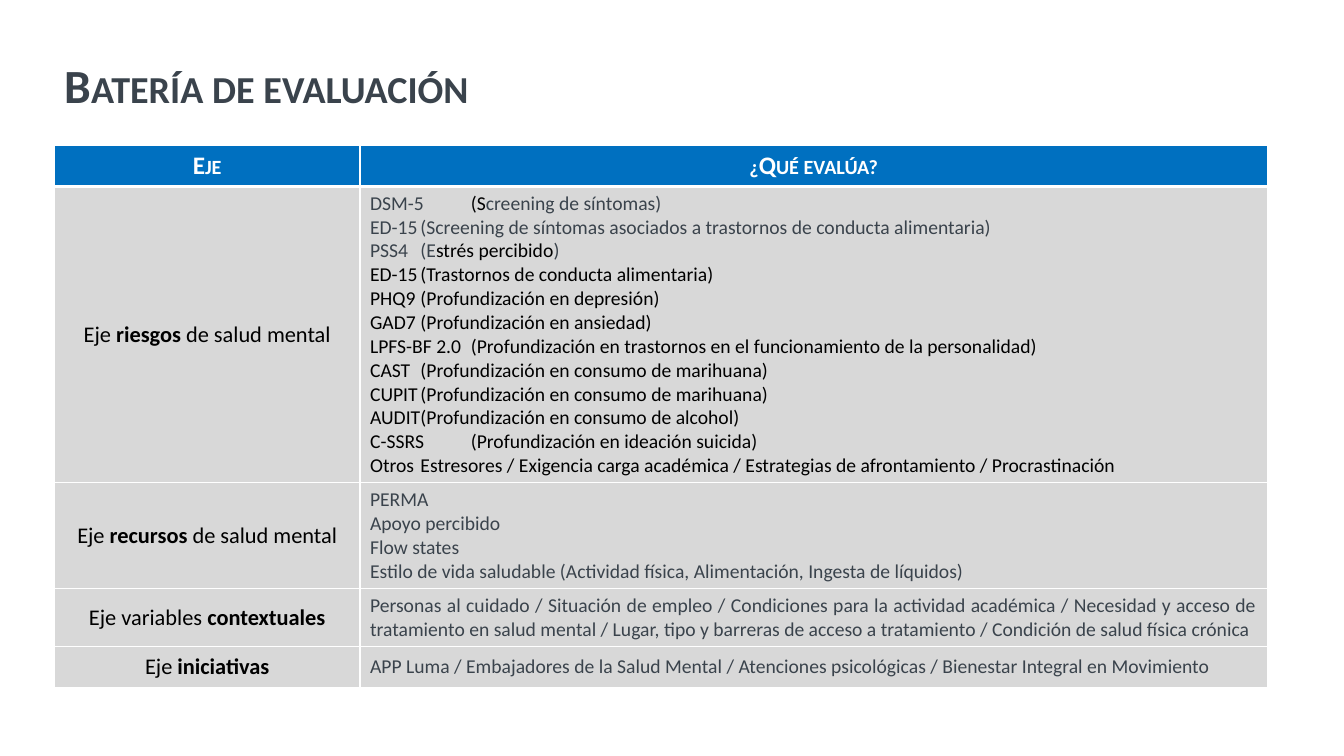
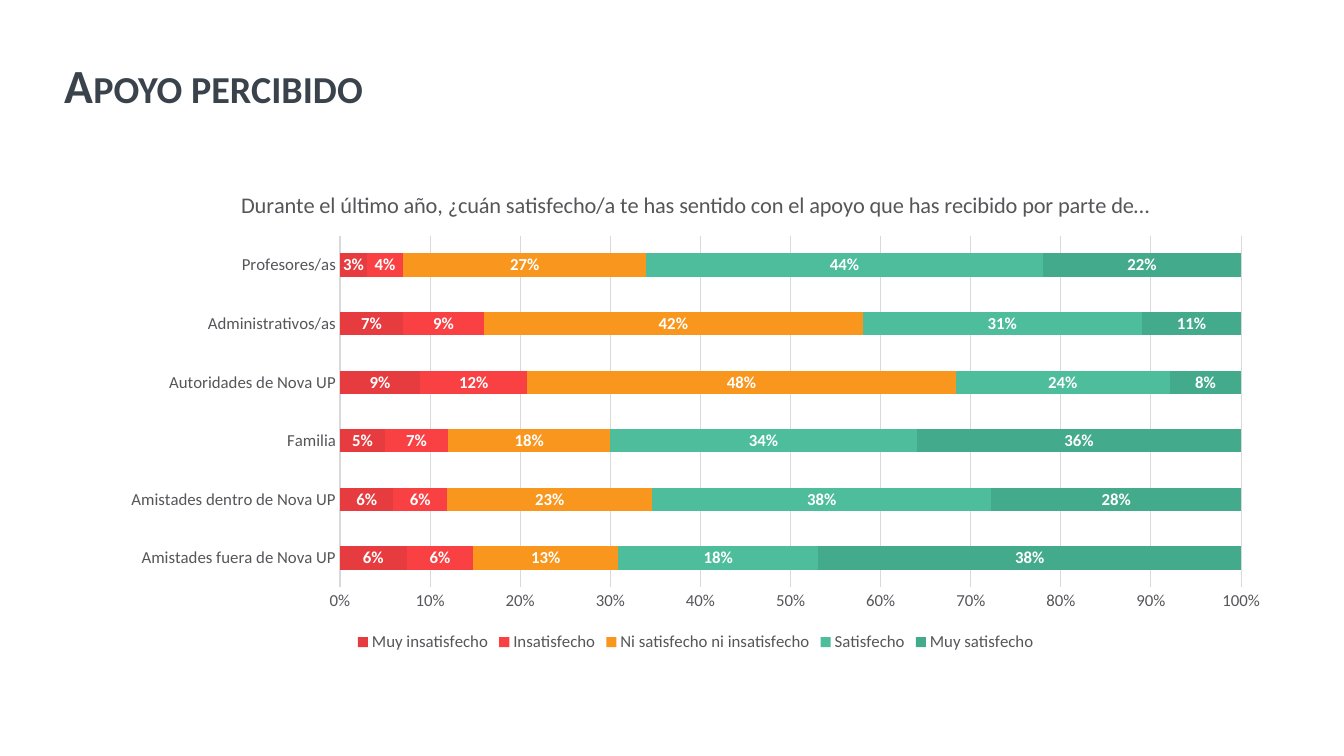
from lxml import etree
from pptx import Presentation
from pptx import util as u
from pptx.chart.data import CategoryChartData
from pptx.dml.color import RGBColor
from pptx.enum import chart as ch, text as tx
from pptx.oxml.ns import qn

FONT = "Calibri"
INK, BLACK, WHITE = "3A434C", "000000", "FFFFFF"
BLUE, GREY, TEXT, RULE = "0070C0", "D8D8D8", "56565A", "D9D9D9"
CENTER, JUSTIFY = tx.PP_ALIGN.CENTER, tx.PP_ALIGN.JUSTIFY

HEADS = ("Eje", "¿Qué evalúa?")
# Each "|" switches between the two styles of a cell; height is in inches.
ROWS = [
    (2.93, "Eje |riesgos| de salud mental", """DSM-5\t|(S|creening de síntomas)
ED-15\t(Screening de síntomas asociados a trastornos de conducta alimentaria)
PSS4\t(E|strés percibido|)
|ED-15\t(Trastornos de conducta alimentaria)
|PHQ9\t(Profundización en depresión)
|GAD7\t(Profundización en ansiedad)
|LPFS-BF 2.0\t(Profundización en trastornos en el funcionamiento de la personalidad)
|CAST\t(Profundización en consumo de marihuana)
|CUPIT\t(Profundización en consumo de marihuana)
|AUDIT\t(Profundización en consumo de alcohol)
|C-SSRS\t(Profundización en ideación suicida)
|Otros\tEstresores / Exigencia carga académica / Estrategias de afrontamiento / Procrastinación"""),
    (1.05, "Eje |recursos| de salud mental", """PERMA
Apoyo percibido
Flow states
Estilo de vida saludable (Actividad física, Alimentación, Ingesta de líquidos)"""),
    (0.57, "Eje variables |contextuales",
     "Personas al cuidado / Situación de empleo / Condiciones para la actividad académica / "
     "Necesidad y acceso de tratamiento en salud mental / Lugar, tipo y barreras de acceso "
     "a tratamiento / Condición de salud física crónica"),
    (0.41, "Eje |iniciativas",
     "APP Luma / Embajadores de la Salud Mental / Atenciones psicológicas / "
     "Bienestar Integral en Movimiento"),
]

ASK = ("Durante el último año, ¿cuán satisfecho/a te has sentido con el apoyo "
       "que has recibido por parte de…")
GROUPS = ["Amistades fuera de Nova UP", "Amistades dentro de Nova UP", "Familia",
          "Autoridades de Nova UP", "Administrativos/as", "Profesores/as"]
LEVELS = [
    ("Muy insatisfecho", "E63C3F", (0.06, 0.06, 0.05, 0.09, 0.07, 0.03)),
    ("Insatisfecho", "F94144", (0.06, 0.06, 0.07, 0.12, 0.09, 0.04)),
    ("Ni satisfecho ni insatisfecho", "F8961E", (0.13, 0.23, 0.18, 0.48, 0.42, 0.27)),
    ("Satisfecho", "4DBD9B", (0.18, 0.38, 0.34, 0.24, 0.31, 0.44)),
    ("Muy satisfecho", "43AA8B", (0.38, 0.28, 0.36, 0.08, 0.11, 0.22)),
]


def rgb(code):
    return RGBColor.from_string(code)


def paint(fill, code):
    fill.solid()
    fill.fore_color.rgb = rgb(code)


def style(font, size, color, bold=False):
    for key, val in dict(name=FONT, size=u.Pt(size), bold=bold).items():
        setattr(font, key, val)
    font.color.rgb = rgb(color)


def write(para, text, size, looks, caps=False):
    """Add runs that alternate between two (colour, bold) looks at each bar."""
    for i, part in enumerate(text.split("|")):
        if part:
            run = para.add_run()
            run.text = part
            style(run.font, size, *looks[i % 2])
            if caps:
                run._r.get_or_add_rPr().set("cap", "small")


def start(deck, title):
    """Add a slide with the shared title."""
    slide = deck.slides.add_slide(deck.slide_layouts[5])
    head = slide.shapes.title
    place = dict(left=0.54, top=0.4, width=12.73, height=0.94)
    for key, val in place.items():
        setattr(head, key, u.Inches(val))
    frame = head.text_frame
    frame.vertical_anchor = tx.MSO_ANCHOR.MIDDLE
    para = frame.paragraphs[0]
    para.alignment, para.line_spacing = tx.PP_ALIGN.LEFT, 0.9
    write(para, title, 34, [(INK, True)] * 2, caps=True)
    return slide


def edge(cell, base):
    """Draw white cell borders, with the bottom one base points wide."""
    props = cell._tc.get_or_add_tcPr()
    for i, (side, width) in enumerate(dict(L=1, R=1, T=1, B=base).items()):
        line = etree.Element(qn("a:ln" + side), w=str(u.Pt(width)))
        fill = etree.SubElement(line, qn("a:solidFill"))
        etree.SubElement(fill, qn("a:srgbClr"), val=WHITE)
        props.insert(i, line)


def put(cell, text, size, looks, align, back, head=False):
    paint(cell.fill, back)
    edge(cell, 3 if head else 1)
    cell.vertical_anchor = tx.MSO_ANCHOR.TOP if head else tx.MSO_ANCHOR.MIDDLE
    frame = cell.text_frame
    for i, line in enumerate(text.split("\n")):
        para = frame.add_paragraph() if i else frame.paragraphs[0]
        para.alignment = align
        write(para, line, size, looks, caps=head)


def grid(slide, box):
    """Place the table of axes and instruments."""
    table = slide.shapes.add_table(len(ROWS) + 1, 2, *map(u.Inches, box)).table
    table.horz_banding = False
    side = 3.03
    for col, width in zip(table.columns, (side, box[2] - side)):
        col.width = u.Inches(width)
    table.rows[0].height = u.Inches(0.41)
    for i, text in enumerate(HEADS):
        put(table.cell(0, i), text, 18, [(WHITE, True)] * 2, CENTER, BLUE, head=True)
    for i, (height, axis, tools) in enumerate(ROWS, 1):
        table.rows[i].height = u.Inches(height)
        put(table.cell(i, 0), axis, 16, [(BLACK, False), (BLACK, True)], CENTER, GREY)
        put(table.cell(i, 1), tools, 14, [(INK, False), (BLACK, False)], JUSTIFY, GREY)


def rule(line):
    line.color.rgb = rgb(RULE)
    line.width = u.Pt(0.75)


def bars(slide, box):
    """Place the stacked chart of satisfaction."""
    data = CategoryChartData(number_format="0%")
    data.categories = GROUPS
    for name, _, vals in LEVELS:
        data.add_series(name, vals)
    chart = slide.shapes.add_chart(
        ch.XL_CHART_TYPE.BAR_STACKED_100, *map(u.Inches, box), data).chart
    style(chart.font, 12, TEXT)

    chart.has_title = True
    write(chart.chart_title.text_frame.paragraphs[0], ASK, 16, [(TEXT, False)] * 2)
    chart.chart_title.include_in_layout = False
    chart.has_legend = True
    chart.legend.position = ch.XL_LEGEND_POSITION.BOTTOM
    chart.legend.include_in_layout = False
    style(chart.legend.font, 12, TEXT)

    cats, vals = chart.category_axis, chart.value_axis
    for axis in (cats, vals):
        axis.major_tick_mark = axis.minor_tick_mark = ch.XL_TICK_MARK.NONE
        style(axis.tick_labels.font, 12, TEXT)
    rule(cats.format.line)
    vals.format.line.fill.background()
    rule(vals.major_gridlines.format.line)
    vals.tick_labels.number_format = "0%"
    vals.tick_labels.number_format_is_linked = False

    plot = chart.plots[0]
    for key, val in dict(gap_width=150, overlap=100, vary_by_categories=False).items():
        setattr(plot, key, val)
    for item, (_, color, _) in zip(plot.series, LEVELS):
        paint(item.format.fill, color)
        tags = item.data_labels
        look = dict(show_value=True, number_format="0%", number_format_is_linked=False,
                    position=ch.XL_LABEL_POSITION.CENTER)
        for key, val in look.items():
            setattr(tags, key, val)
        style(tags.font, 12, WHITE, True)


def main():
    deck = Presentation()
    deck.slide_width, deck.slide_height = u.Inches(13.33), u.Inches(7.5)
    grid(start(deck, "Batería de evaluación"), (0.54, 1.44, 12.03, 5.37))
    bars(start(deck, "Apoyo percibido"), (1.07, 1.69, 11.66, 4.82))
    deck.save("out.pptx")


if __name__ == "__main__":
    main()
